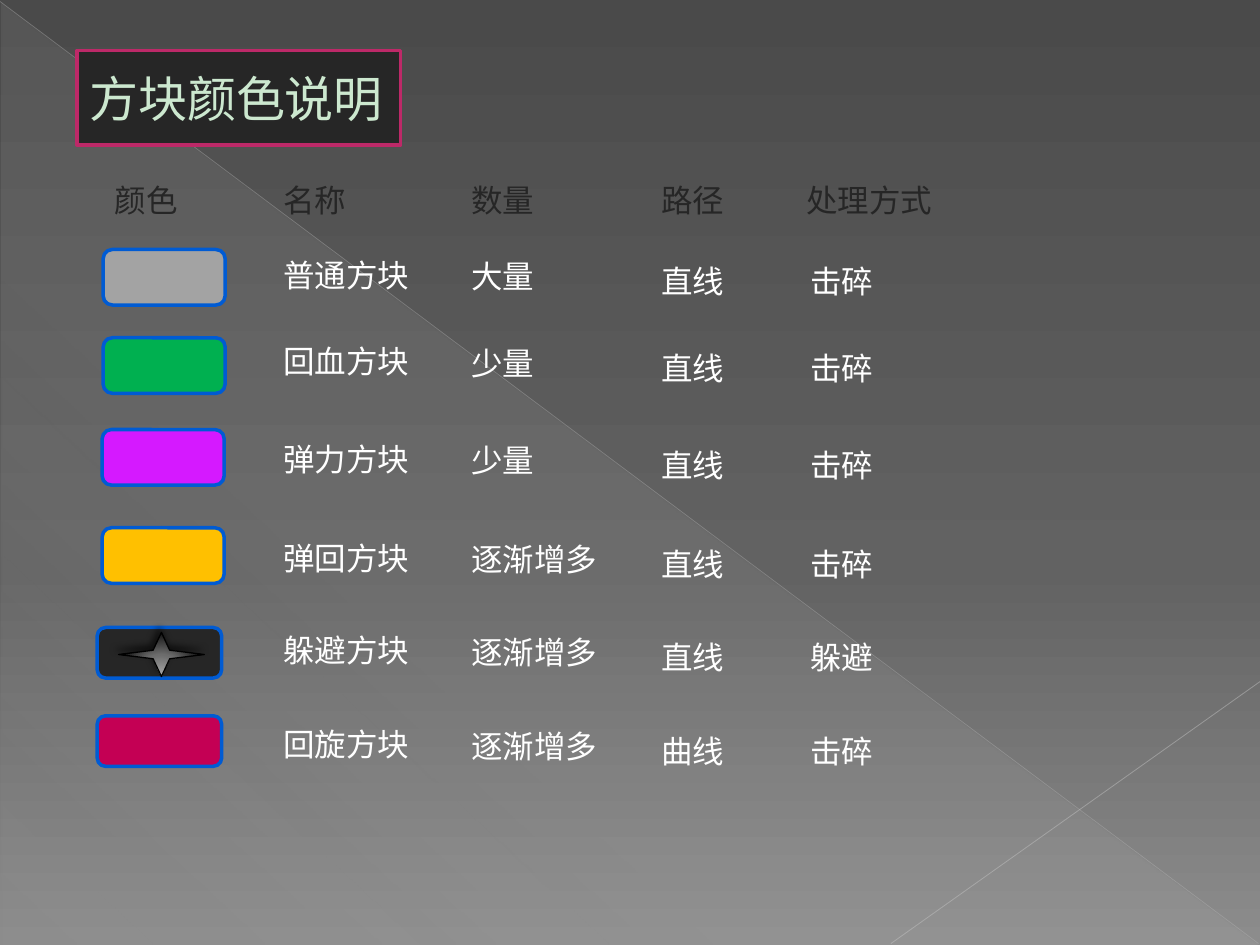
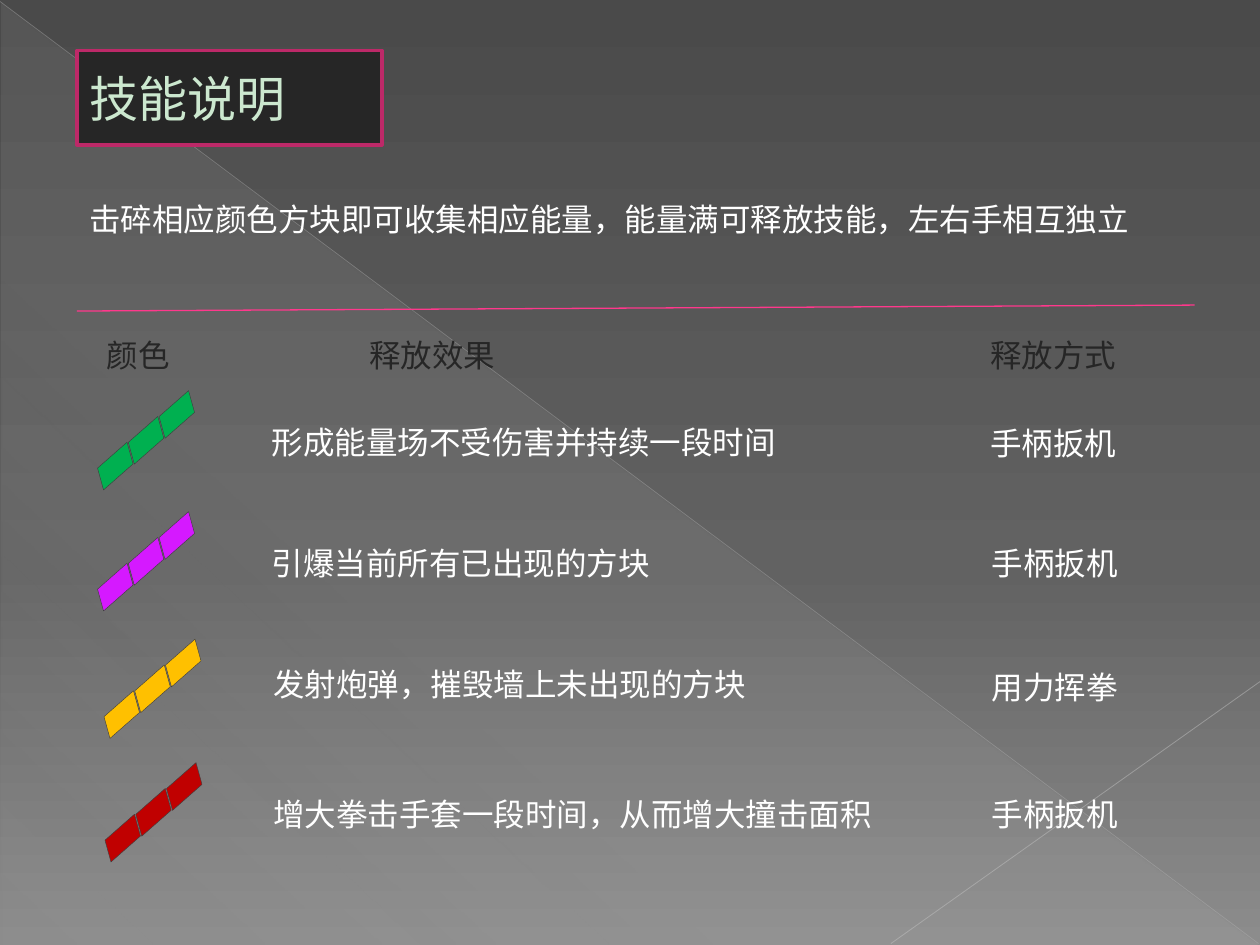
from dataclasses import dataclass

from lxml.etree import SubElement
from pptx import Presentation
from pptx.dml.color import RGBColor
from pptx.enum.shapes import MSO_CONNECTOR, MSO_SHAPE as Preset
from pptx.enum.text import MSO_ANCHOR, MSO_AUTO_SIZE, PP_ALIGN
from pptx.oxml.ns import qn
from pptx.util import Cm, Pt


@dataclass(frozen=True)
class Theme:
    font: str = "League Spartan"
    title_size: int = 28
    body_size: int = 18
    title_text: str = "CCE8CF"
    body_text: str = "FFFFFF"
    dark: str = "262626"
    title_border: str = "BD2968"
    rule: str = "FF388C"
    block_border: str = "005BD3"
    cell_border: str = "404040"
    grey: str = "A3A3A3"
    green: str = "00B050"
    purple: str = "D519FF"
    yellow: str = "FFC000"
    crimson: str = "C40054"
    red: str = "C00000"
    backdrop: tuple = ((0, "4A4A4A", 100), (60, "626262", 100), (100, "8C8C8C", 100))
    sheen: tuple = ((0, "D2D2D2", 10), (70, "D2D2D2", 8), (100, "D2D2D2", 1))
    star: tuple = ((0, "ABABAB", 100), (46, "6C6C6C", 100), (100, "000000", 100))


THEME = Theme()
WIDTH, HEIGHT = 25.4, 19.05
LINE_HEIGHT = 1.02


def add_alpha(color_element, percent):
    SubElement(color_element, qn("a:alpha"), val=str(percent * 1000))


def set_gradient(fill, element, stops, angle=None):
    """Fill with (position, colour, opacity) stops; no angle means a round gradient."""
    fill.gradient()
    gradient = element.xpath(".//a:gradFill")[0]
    stop_list = gradient.find(qn("a:gsLst"))
    for default_stop in list(stop_list):
        stop_list.remove(default_stop)
    for position, color, opacity in stops:
        stop = SubElement(stop_list, qn("a:gs"), pos=str(position * 1000))
        add_alpha(SubElement(stop, qn("a:srgbClr"), val=color), opacity)
    if angle is not None:
        fill.gradient_angle = 360 - angle
        return
    gradient.remove(gradient.find(qn("a:lin")))
    rings = SubElement(gradient, qn("a:path"), path="circle")
    SubElement(rings, qn("a:fillToRect"), l="50000", t="155000", r="50000", b="-55000")


class Deck:
    def __init__(self, theme):
        self.theme = theme
        self.presentation = Presentation()
        self.presentation.slide_width = Cm(WIDTH)
        self.presentation.slide_height = Cm(HEIGHT)
        self.slide = None

    def add_slide(self, title, title_width):
        self.slide = self.presentation.slides.add_slide(self.presentation.slide_layouts[6])
        set_gradient(self.slide.background.fill, self.slide.element, self.theme.backdrop, 90)
        sheen = self.shape(Preset.RIGHT_TRIANGLE, 0.03, 0.05, 25.35, 19)
        set_gradient(sheen.fill, sheen.element, self.theme.sheen, 133)
        self.line(0, 0.03, 25.37, 19.02, "BFBFBF", 0.39, 35)
        self.line(WIDTH, 13.74, 17.96, 19.02, "C6C6C6", 0.47, 45)
        banner = self.shape(Preset.RECTANGLE, 1.55, 1.02, title_width, 1.9,
                            self.theme.dark, self.theme.title_border, 2)
        banner.text_frame.vertical_anchor = MSO_ANCHOR.MIDDLE
        self.set_words(banner, title, self.theme.title_size, self.theme.title_text)

    def shape(self, preset, left, top, width, height, fill=None, border=None,
              border_width=1, parent=None):
        shape = (parent or self.slide).shapes.add_shape(
            preset, Cm(left), Cm(top), Cm(width), Cm(height))
        shape.shadow.inherit = False
        if fill:
            shape.fill.solid()
            shape.fill.fore_color.rgb = RGBColor.from_string(fill)
        if border:
            shape.line.color.rgb = RGBColor.from_string(border)
            shape.line.width = Pt(border_width)
        else:
            shape.line.fill.background()
        return shape

    def line(self, x1, y1, x2, y2, color, width, opacity=100):
        line = self.slide.shapes.add_connector(
            MSO_CONNECTOR.STRAIGHT, Cm(x1), Cm(y1), Cm(x2), Cm(y2))
        line.line.color.rgb = RGBColor.from_string(color)
        line.line.width = Pt(width)
        add_alpha(line.element.xpath(".//a:ln//a:srgbClr")[0], opacity)
        SubElement(line.element.spPr, qn("a:effectLst"))

    def set_words(self, holder, words, size, color):
        holder.text_frame.word_wrap = True
        paragraph = holder.text_frame.paragraphs[0]
        paragraph.text = words
        paragraph.alignment = PP_ALIGN.LEFT
        font = paragraph.runs[0].font
        font.size = Pt(size)
        font.name = self.theme.font
        font.color.rgb = RGBColor.from_string(color)
        run_style = holder.element.xpath(".//a:rPr")[0]
        SubElement(run_style, qn("a:ea"), typeface=self.theme.font)

    def text(self, words, left, top, width=3.38, color=None):
        box = self.slide.shapes.add_textbox(Cm(left), Cm(top), Cm(width), Cm(LINE_HEIGHT))
        self.set_words(box, words, self.theme.body_size, color or self.theme.body_text)
        box.text_frame.auto_size = MSO_AUTO_SIZE.SHAPE_TO_FIT_TEXT

    def headings(self, top, columns):
        for words, left in columns:
            self.text(words, left, top, color=self.theme.dark)

    def block(self, left, top, width, height, color):
        self.shape(Preset.ROUNDED_RECTANGLE, left, top, width, height,
                   color, self.theme.block_border, 2)

    def star(self, left, top):
        star = self.shape(Preset.STAR_4_POINT, left, top, 1.73, 0.89, border="000000",
                          border_width=0.75)
        star.adjustments[0] = 0.137
        set_gradient(star.fill, star.element, self.theme.star)
        effects = star.element.spPr.find(qn("a:effectLst"))
        shadow = SubElement(effects, qn("a:outerShdw"), blurRad=str(Pt(4)),
                            dist=str(Pt(3)), dir=str(245 * 60000))
        add_alpha(SubElement(shadow, qn("a:srgbClr"), val="000000"), 60)

    def energy_bar(self, left, top, color):
        """Three slanted cells climbing to the right."""
        group = self.slide.shapes.add_group_shape()
        for step in range(3):
            cell = self.shape(Preset.FLOWCHART_DATA, left + 0.62 * step, top - 0.52 * step,
                              0.99, 0.41, color, self.theme.cell_border, 0.25, group)
            cell.rotation = 318.7


def build_block_slide(deck):
    theme = deck.theme
    deck.add_slide("方块颜色说明", 6.53)
    deck.headings(3.53, [("颜色", 2.06), ("名称", 5.46), ("数量", 9.25),
                         ("路径", 13.08), ("处理方式", 16)])
    columns = [(5.46, 0), (9.25, 0.03), (13.08, 0.13), (16.08, 0.13)]  # left, drop
    tall, flat = (2.46, 1.12), (2.51, 1.02)
    rows = [
        (5.03, theme.grey, (2.08, 5.03), tall, ("普通方块", "大量", "直线", "击碎")),
        (6.78, theme.green, (2.08, 6.81), tall, ("回血方块", "少量", "直线", "击碎")),
        (8.74, theme.purple, (2.06, 8.66), tall, ("弹力方块", "少量", "直线", "击碎")),
        (10.74, theme.yellow, (2.06, 10.64), tall, ("弹回方块", "逐渐增多", "直线", "击碎")),
        (12.6, theme.dark, (1.96, 12.65), flat, ("躲避方块", "逐渐增多", "直线", "躲避")),
        (14.5, theme.crimson, (1.96, 14.43), flat, ("回旋方块", "逐渐增多", "曲线", "击碎")),
    ]
    for top, color, corner, size, cells in rows:
        deck.block(*corner, *size, color)
        for words, (left, drop) in zip(cells, columns):
            deck.text(words, left, top + drop)
    deck.star(2.39, 12.75)


def build_skill_slide(deck):
    theme = deck.theme
    deck.add_slide("技能说明", 6.15)
    deck.text("击碎相应颜色方块即可收集相应能量，能量满可释放技能，左右手相互独立",
              1.55, 3.91, 22.4)
    deck.line(1.55, 6.27, 24.08, 6.15, theme.rule, 0.75)
    deck.headings(6.65, [("颜色", 1.9), ("释放效果", 7.19), ("释放方式", 19.71)])
    skills = [
        (theme.green, (1.83, 9.19), "形成能量场不受伤害并持续一段时间", (5.23, 8.41, 11.73),
         "手柄扳机", (19.71, 8.43)),
        (theme.purple, (1.83, 11.63), "引爆当前所有已出现的方块", (5.23, 10.85, 11.73),
         "手柄扳机", (19.74, 10.85)),
        (theme.yellow, (1.96, 14.2), "发射炮弹，摧毁墙上未出现的方块", (5.26, 13.28, 11.73),
         "用力挥拳", (19.74, 13.34)),
        (theme.red, (1.98, 16.69), "增大拳击手套一段时间，从而增大撞击面积", (5.26, 15.9, 13.06),
         "手柄扳机", (19.74, 15.9)),
    ]
    for color, bar_corner, effect, effect_place, trigger, trigger_place in skills:
        deck.energy_bar(*bar_corner, color)
        deck.text(effect, *effect_place)
        deck.text(trigger, *trigger_place)


def main():
    deck = Deck(THEME)
    build_block_slide(deck)
    build_skill_slide(deck)
    deck.presentation.save("out.pptx")


if __name__ == "__main__":
    main()
